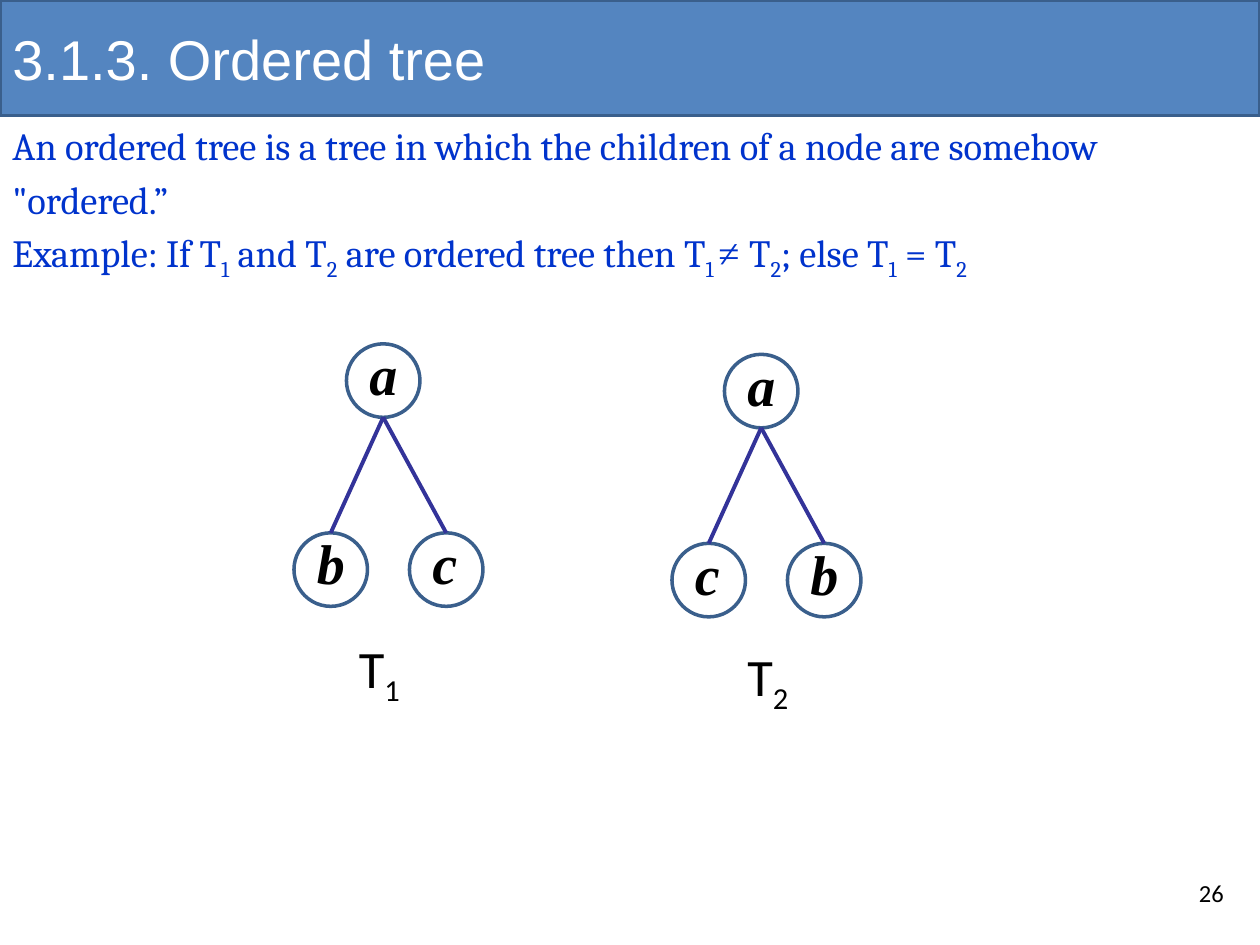
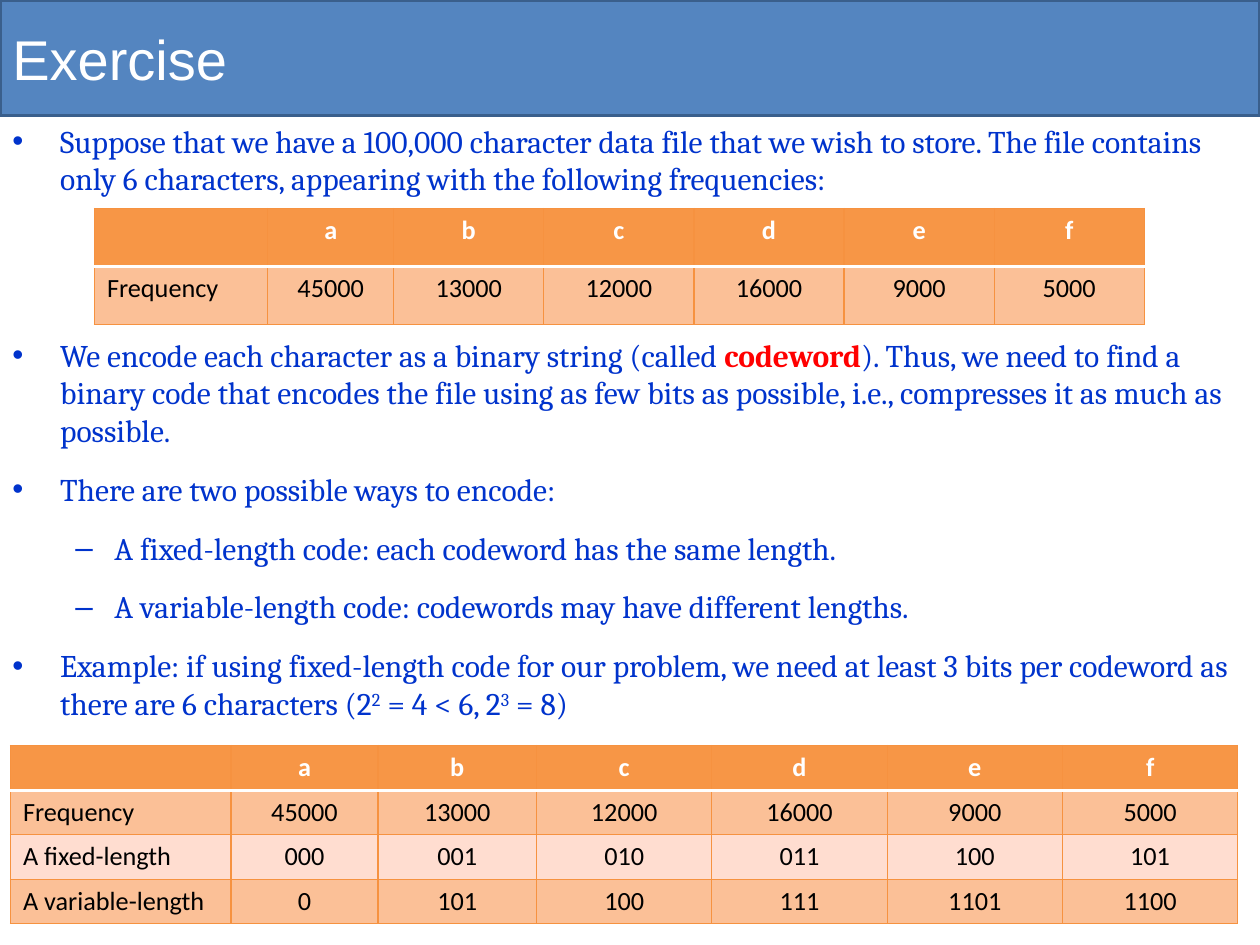
from lxml.etree import SubElement
from pptx import Presentation
from pptx.dml.color import RGBColor
from pptx.enum.shapes import MSO_CONNECTOR, MSO_SHAPE
from pptx.enum.text import MSO_ANCHOR, PP_ALIGN
from pptx.oxml import parse_xml
from pptx.oxml.ns import nsdecls, qn
from pptx.util import Inches, Pt

BAND = RGBColor(0x54, 0x85, 0xC0)
OUTLINE = RGBColor(0x3A, 0x5F, 0x8C)
EDGE = RGBColor(0x33, 0x33, 0x99)
BODY = RGBColor(0x00, 0x33, 0xCC)
KEYWORD = RGBColor(0xFF, 0x00, 0x00)
WHITE = RGBColor(0xFF, 0xFF, 0xFF)
BLACK = RGBColor(0x00, 0x00, 0x00)
HEADER = RGBColor(0xF7, 0x96, 0x46)
DARK_ROW = RGBColor(0xFB, 0xC0, 0x97)
LIGHT_ROW = RGBColor(0xFF, 0xDD, 0xD0)
RULE = RGBColor(0xF6, 0x92, 0x40)

COLUMNS, ROWS = 120, 90  # square grid, twelve cells to the inch
CELL = Inches(10) // COLUMNS
BAND_ROWS = 11
BASELINES = {"_": "-25000", "^": "30000"}


def grid(*counts):
    """Turn counts of grid cells into lengths."""
    return [round(count * CELL) for count in counts]


def write(frame, texts, font, size, color):
    """Fill a frame with paragraphs; a piece between bars may open with a mark:
    _ subscript, ^ superscript, * keyword, ~ symbol in Times New Roman."""
    frame.word_wrap = True
    for index, text in enumerate(texts):
        paragraph = frame.add_paragraph() if index else frame.paragraphs[0]
        paragraph.font.name = font
        paragraph.font.size = Pt(size)
        paragraph.font.color.rgb = color
        for piece in text.split("|"):
            mark = piece[:1] if piece[:1] in ("_", "^", "*", "~") else ""
            run = paragraph.add_run()
            run.text = piece[len(mark):]
            if mark in BASELINES:
                run._r.get_or_add_rPr().set("baseline", BASELINES[mark])
            elif mark == "*":
                run.font.bold = True
                run.font.color.rgb = KEYWORD
            elif mark == "~":
                run.font.name = "Times New Roman"
    return frame.paragraphs


presentation = Presentation()
presentation.slide_width, presentation.slide_height = grid(COLUMNS, ROWS)

# Title bands
slides = []
for title in ("3.1.3. Ordered tree", "Exercise"):
    slide = presentation.slides.add_slide(presentation.slide_layouts[6])
    band = slide.shapes.add_shape(MSO_SHAPE.RECTANGLE, *grid(0, 0, COLUMNS, BAND_ROWS))
    band.shadow.inherit = False
    band.fill.solid()
    band.fill.fore_color.rgb = BAND
    band.line.color.rgb = OUTLINE
    band.line.width = Pt(2)
    band.text_frame.vertical_anchor = MSO_ANCHOR.MIDDLE
    write(band.text_frame, [title], "Arial", 32, WHITE)[0].alignment = PP_ALIGN.LEFT
    slides.append(slide)
tree_slide, exercise_slide = slides

# Ordered tree: definition and page number
definition = tree_slide.shapes.add_textbox(*grid(0, BAND_ROWS, COLUMNS, 71))
for paragraph in write(definition.text_frame, [
    "An ordered tree is a tree in which the children of a node are somehow",
    "\"ordered.”",
    "Example: If T|_1| and T|_2| are ordered tree then T|_1 |~≠ |T|_2|; else T|_1| = T|_2",
], "Cambria", 22, BODY):
    paragraph.space_before = Pt(4.4)
page_number = tree_slide.shapes.add_textbox(*grid(113, 83, 6, 4.8))
write(page_number.text_frame, ["26"], "Calibri", 14, BLACK)

# Ordered tree: the two trees
NODE = 7
CHILD_DROP = 18
CHILD_SHIFTS = (-5, 6)
for root_x, root_y, letters, name, name_x, name_y in (
    (33, 32.75, "abc", "T|_1", 33, 60),
    (69, 33.75, "acb", "T|_2", 70, 60.75),
):
    places = [(root_x, root_y)]
    places += [(root_x + shift, root_y + CHILD_DROP) for shift in CHILD_SHIFTS]
    for letter, (x, y) in zip(letters, places):
        node = tree_slide.shapes.add_shape(MSO_SHAPE.OVAL, *grid(x, y, NODE, NODE))
        node.shadow.inherit = False
        node.fill.background()
        node.line.color.rgb = OUTLINE
        node.line.width = Pt(2)
        label = tree_slide.shapes.add_textbox(*grid(x + 1, y - 1, 6, 7.7))
        letter_font = write(label.text_frame, [letter], "Times New Roman", 32, BLACK)[0].font
        letter_font.bold = letter_font.italic = True
    for x, y in places[1:]:
        edge = tree_slide.shapes.add_connector(MSO_CONNECTOR.STRAIGHT, *grid(
            root_x + NODE / 2, root_y + NODE, x + NODE / 2, y))
        edge.line.color.rgb = EDGE
        edge.line.width = Pt(2.25)
        SubElement(edge._element.spPr, qn("a:effectLst"))
    tree_name = tree_slide.shapes.add_textbox(*grid(name_x, name_y, 12, 7.3))
    write(tree_name.text_frame, [name], "Calibri", 30, BLACK)

# Exercise: bullets, with room for the first table before the second one
points = (
    ("•", 12, "Suppose that we have a 100,000 character data file that we wish to store. "
     "The file contains only 6 characters, appearing with the following frequencies:"),
    ("•", 79, "We encode each character as a binary string (called |*codeword|). Thus, we "
     "need to find a binary code that encodes the file using as few bits as possible, "
     "i.e., compresses it as much as possible."),
    ("•", 12, "There are two possible ways to encode:"),
    ("–", 12, "A fixed-length code: each codeword has the same length."),
    ("–", 12, "A variable-length code: codewords may have different lengths."),
    ("•", 12, "Example: if using fixed-length code for our problem, we need at least 3 bits "
     "per codeword as there are 6 characters (2|^2| = 4 < 6, 2|^3| = 8)"),
)
task = exercise_slide.shapes.add_textbox(*grid(0, BAND_ROWS, COLUMNS, 75.2))
paragraphs = write(task.text_frame, [text for _, _, text in points], "Cambria", 18, BODY)
for paragraph, (bullet, space, _) in zip(paragraphs, points):
    paragraph.space_before = Pt(space)
    margin, hanging = (0.38, 0.38) if bullet == "•" else (0.81, 0.31)
    paragraph.level = 0 if bullet == "•" else 1
    properties = paragraph._p.get_or_add_pPr()
    properties.set("marL", str(Inches(margin)))
    properties.set("indent", str(-Inches(hanging)))
    default_font = properties.find(qn("a:defRPr"))
    for tag, key, value in (("buFont", "typeface", "Arial"), ("buChar", "char", bullet)):
        default_font.addprevious(parse_xml(f'<a:{tag} {nsdecls("a")} {key}="{value}"/>'))

# Exercise: frequency and code tables
frequencies = [
    ["", *"abcdef"],
    ["Frequency", "45000", "13000", "12000", "16000", "9000", "5000"],
]
codes = frequencies + [
    ["A fixed-length", "000", "001", "010", "011", "100", "101"],
    ["A variable-length", "0", "101", "100", "111", "1101", "1100"],
]
for rows, x, y, widths, row_height in (
    (frequencies, 9, 19.85, [16.5, 12] + [14.3] * 5, 5.55),
    (codes, 1, 71, [21, 14, 15.1] + [16.7] * 4, 4.25),
):
    table = exercise_slide.shapes.add_table(
        len(rows), len(widths), *grid(x, y, sum(widths), row_height * len(rows))).table
    for column, width in zip(table.columns, grid(*widths)):
        column.width = width
    for r, values in enumerate(rows):
        table.rows[r].height = grid(row_height)[0]
        for c, value in enumerate(values):
            cell = table.cell(r, c)
            cell.fill.solid()
            cell.fill.fore_color.rgb = (HEADER, DARK_ROW, LIGHT_ROW, DARK_ROW)[r]
            if value:
                paragraph = write(cell.text_frame, [value], "Calibri", 15,
                                  BLACK if r else WHITE)[0]
                paragraph.font.bold = r == 0
                paragraph.alignment = PP_ALIGN.CENTER if c else PP_ALIGN.LEFT
            else:
                cell.margin_top = cell.margin_bottom = 0
            for place, side in enumerate("LRTB"):
                under_header = (r, side) in ((0, "B"), (1, "T"))
                color, weight = (WHITE, 2) if under_header else (RULE, 0.75)
                cell._tc.get_or_add_tcPr().insert(place, parse_xml(
                    f'<a:ln{side} {nsdecls("a")} w="{Pt(weight)}"><a:solidFill>'
                    f'<a:srgbClr val="{color}"/></a:solidFill></a:ln{side}>'))

presentation.save("out.pptx")
